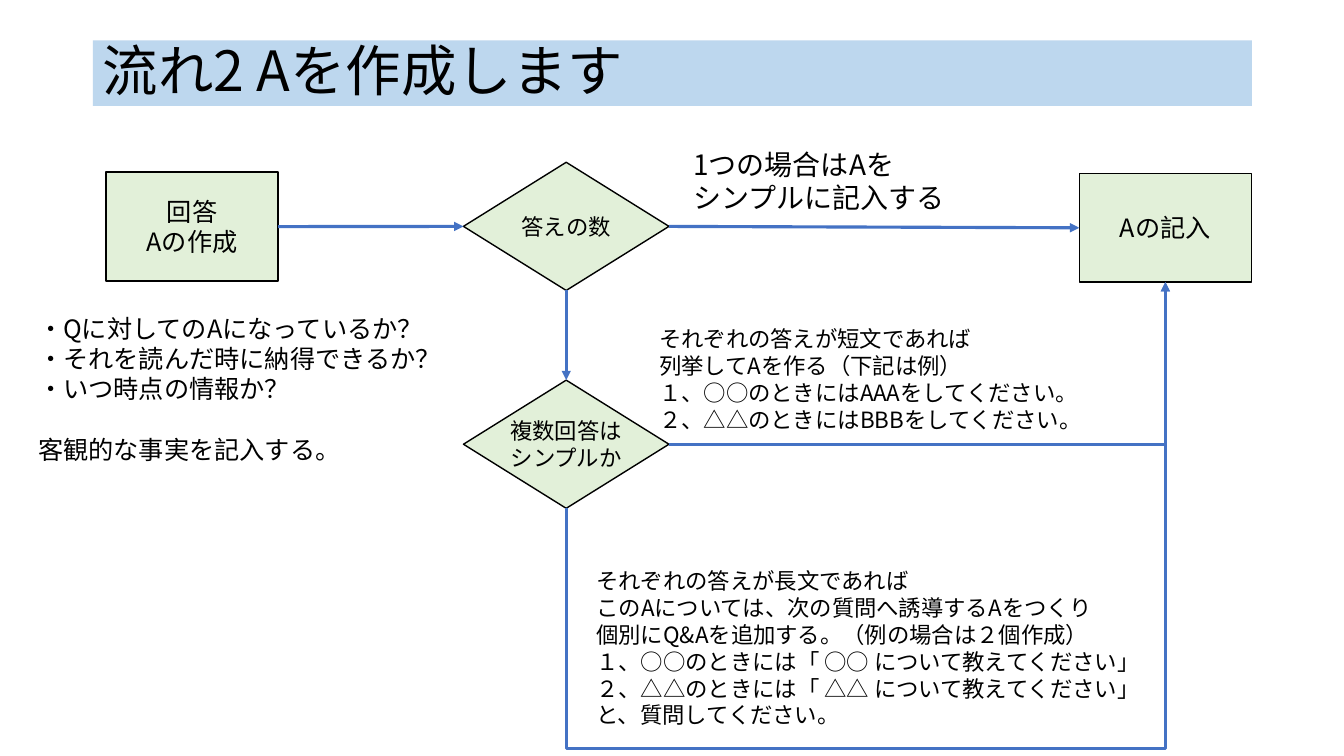
"""Build the slide that shows how an answer is made."""
from dataclasses import dataclass

from lxml import etree
from pptx import Presentation
from pptx import util as u
from pptx.dml.color import RGBColor
from pptx.enum import shapes, text
from pptx.oxml import ns

FONT = "Noto Sans CJK JP"
INK, BLUE, GREEN, BAND = "000000", "4472C4", "E2F0D9", "BDD7EE"
RECT = shapes.MSO_SHAPE.RECTANGLE
GEM = shapes.MSO_SHAPE.DIAMOND
TOP, LEFT, BASE, RIGHT = range(4)


@dataclass
class Node:
    """A filled box with its text, in centimetres."""
    kind: shapes.MSO_SHAPE
    x: float
    y: float
    w: float
    h: float
    words: str
    size: float
    wrap: bool = True


@dataclass
class Note:
    """A free text, in centimetres."""
    x: float
    y: float
    w: float
    h: float
    words: str
    size: float
    wrap: bool = False


@dataclass
class Bend:
    """A bent arrow, in centimetres before it is turned."""
    start: tuple[float, float]
    end: tuple[float, float]
    preset: str
    turn: int = 0
    adjust: int | None = None


def tint(code: str) -> RGBColor:
    """Turn a hex string into a colour."""
    return RGBColor.from_string(code)


def add(root, tag: str, **attrs: str):
    """Append an XML child and return it."""
    return etree.SubElement(root, ns.qn(tag), attrs)


def write(shape, words: str, size: float, wrap: bool) -> None:
    """Put styled text in a shape."""
    frame = shape.text_frame
    frame.text = words
    frame.word_wrap = wrap
    for para in frame.paragraphs:
        for run in para.runs:
            font = run.font
            font.size = u.Pt(size)
            font.color.rgb = tint(INK)
            font.name = FONT
            add(font._element, "a:ea", typeface=FONT)


def box(slide, node: Node, fill: str = GREEN, edge: bool = True):
    """Draw a filled shape with its text."""
    shape = slide.shapes.add_shape(
        node.kind, u.Cm(node.x), u.Cm(node.y), u.Cm(node.w), u.Cm(node.h))
    shape.shadow.inherit = False
    shape.fill.solid()
    shape.fill.fore_color.rgb = tint(fill)
    if edge:
        shape.line.color.rgb = tint(INK)
        shape.line.width = u.Pt(1)
    else:
        shape.line.fill.background()
    write(shape, node.words, node.size, node.wrap)
    shape.text_frame.vertical_anchor = text.MSO_ANCHOR.MIDDLE
    for para in shape.text_frame.paragraphs:
        para.alignment = text.PP_ALIGN.CENTER
    return shape


def label(slide, note: Note):
    """Draw a free text."""
    shape = slide.shapes.add_textbox(
        u.Cm(note.x), u.Cm(note.y), u.Cm(note.w), u.Cm(note.h))
    write(shape, note.words, note.size, note.wrap)
    shape.text_frame.auto_size = text.MSO_AUTO_SIZE.SHAPE_TO_FIT_TEXT
    return shape


def style(link) -> None:
    """Give a connector its line and arrowhead."""
    link.line.color.rgb = tint(BLUE)
    link.line.width = u.Pt(2.25)
    prop = link.element.spPr
    add(prop.find(ns.qn("a:ln")), "a:tailEnd", type="triangle")
    add(prop, "a:effectLst")


def join(slide, head, out: int, tail, into: int) -> None:
    """Draw a straight arrow between two shapes."""
    link = slide.shapes.add_connector(
        shapes.MSO_CONNECTOR.STRAIGHT, 0, 0, 0, 0)
    link.begin_connect(head, out)
    link.end_connect(tail, into)
    style(link)


def bend(slide, arm: Bend) -> None:
    """Draw a bent arrow."""
    ends = [u.Cm(value) for value in arm.start + arm.end]
    link = slide.shapes.add_connector(shapes.MSO_CONNECTOR.ELBOW, *ends)
    style(link)
    prop = link.element.spPr
    prop.find(ns.qn("a:xfrm")).set("rot", str(arm.turn * 60000))
    geom = prop.find(ns.qn("a:prstGeom"))
    geom.set("prst", arm.preset)
    if arm.adjust is not None:
        add(geom.find(ns.qn("a:avLst")), "a:gd",
            name="adj1", fmla=f"val {arm.adjust}")


TITLE = Node(RECT, 2.34, 1.02, 29.21, 1.65, "流れ2 Aを作成します", 39.6)
NODES = [
    Node(RECT, 2.67, 4.34, 4.34, 2.74, "回答\nAの作成", 18),
    Node(RECT, 27.2, 4.37, 4.34, 2.74, "Aの記入", 18),
    Node(GEM, 11.68, 4.09, 5.18, 3.23, "答えの数", 16, False),
    Node(GEM, 11.68, 9.58, 5.18, 3.23, "複数回答は\nシンプルか", 16, False),
]
BENDS = [
    Bend((24.67, 17.51), (18.97, 2.41), "bentConnector3", 90, -106100),
    Bend((16.87, 11.2), (29.37, 7.11), "bentConnector2"),
]
NOTES = [
    Note(17.22, 3.58, 6.93, 1.96, "1つの場合はAを\nシンプルに記入する", 20),
    Note(16.36, 8.08, 11.35, 3, "それぞれの答えが短文であれば\n"
         "列挙してAを作る（下記は例）\n"
         "１、○○のときにはAAAをしてください。\n"
         "２、△△のときにはBBBをしてください。", 16),
    Note(14.78, 14.17, 14.53, 4.37, "それぞれの答えが長文であれば\n"
         "このAについては、次の質問へ誘導するAをつくり\n"
         "個別にQ&Aを追加する。（例の場合は２個作成）\n"
         "１、○○のときには「 ○○ について教えてください」\n"
         "２、△△のときには「 △△ について教えてください」\n"
         "と、質問してください。", 16),
]
CHECK = Note(0.71, 7.77, 10.77, 4.11, "・Qに対してのAになっているか？\n"
             "・それを読んだ時に納得できるか？\n"
             "・いつ時点の情報か？\n"
             "客観的な事実を記入する。", 18, True)


def main() -> None:
    """Build and save the slide."""
    deck = Presentation()
    deck.slide_width, deck.slide_height = u.Cm(33.87), u.Cm(19.05)
    slide = deck.slides.add_slide(deck.slide_layouts[6])
    title = box(slide, TITLE, BAND, False).text_frame.paragraphs[0]
    title.alignment = text.PP_ALIGN.LEFT
    title.line_spacing = 0.9
    start, goal, count, plain = [box(slide, node) for node in NODES]
    join(slide, start, RIGHT, count, LEFT)
    join(slide, count, RIGHT, goal, LEFT)
    join(slide, count, BASE, plain, TOP)
    for arm in BENDS:
        bend(slide, arm)
    for note in NOTES:
        label(slide, note)
    check = label(slide, CHECK)
    check.text_frame.paragraphs[-1].space_before = u.Pt(22)
    deck.save("out.pptx")


main()
